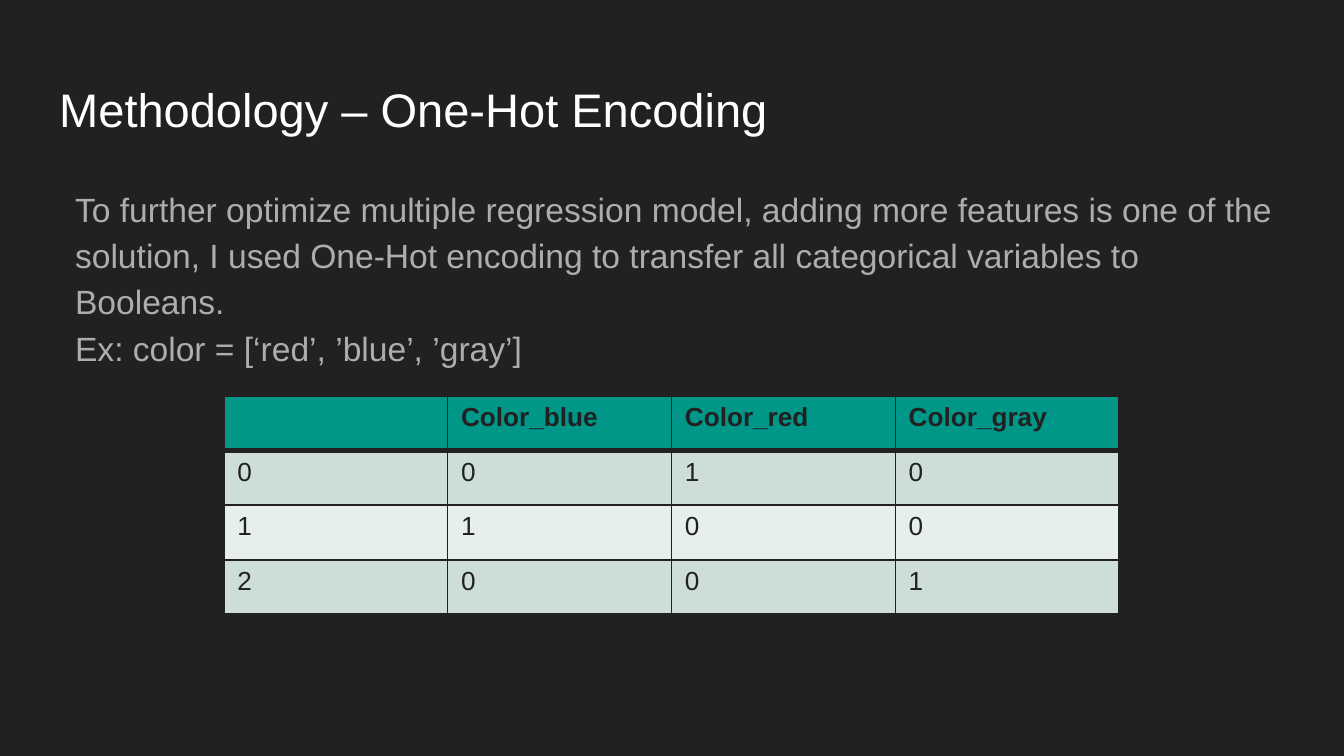
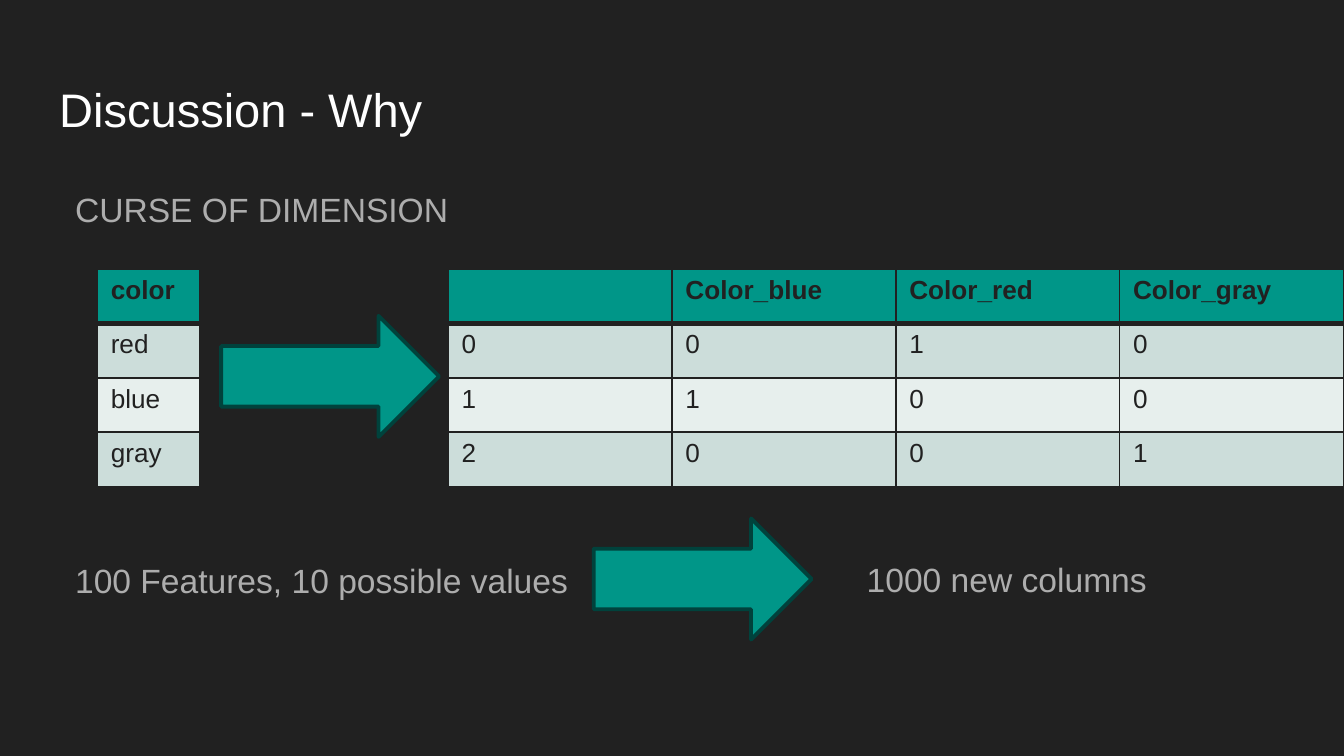
"""Builds two dark slides on one-hot encoding and the curse of dimension."""
from lxml import etree
from pptx import Presentation
from pptx import util as u
from pptx.dml.color import RGBColor
from pptx.enum import shapes, text
from pptx.oxml import ns

FONT = "Arial"
COLORS = {
    "background": "212121",
    "title": "FFFFFF",
    "body": "ADADAD",
    "accent": "009688",
    "outline": "00423C",
    "odd": "CCDDDA",
    "even": "E7EFED",
}
CATEGORIES = [["color"], ["red"], ["blue"], ["gray"]]
ENCODED = [
    ["", "Color_blue", "Color_red", "Color_gray"],
    ["0", "0", "1", "0"],
    ["1", "1", "0", "0"],
    ["2", "0", "0", "1"],
]
SLIDES = [
    {
        "title": "Methodology – One-Hot Encoding",
        "body": [
            "To further optimize multiple regression model, adding more features is one of the "
            "solution, I used One-Hot encoding to transfer all categorical variables to Booleans.",
            "Ex: color = [‘red’, ’blue’, ’gray’]",
        ],
        "tables": [(ENCODED, 4.23, 7.49, 4.23)],
    },
    {
        "title": "Discussion - Why",
        "body": ["CURSE OF DIMENSION", "100 Features, 10 possible values"],
        "gap": 174,
        "result": "1000 new columns",
        "tables": [(CATEGORIES, 1.84, 5.08, 1.94), (ENCODED, 8.47, 5.08, 4.23)],
        "arrows": [(4.18, 5.97), (11.22, 9.8)],
    },
]
TITLE_BOX = (0.87, 1.25, 23.67, 1.59)
BODY_BOX = (0.87, 3.2, 23.67, 9.5)
RESULT_BOX = (16.13, 10.21, 8, 1.4)
ARROW_SIZE = (4.12, 2.29)
ROW_HEIGHT = 1.03
INDENT = 0.3


def rgb(name):
    """Returns the named palette colour."""
    return RGBColor.from_string(COLORS[name])


def write(frame, paragraphs, size, color, bold=False, spacing=None, gap=0, indent=0):
    """Fills a text frame with evenly formatted paragraphs."""
    for number, words in enumerate(paragraphs):
        paragraph = frame.add_paragraph() if number else frame.paragraphs[0]
        paragraph.line_spacing = spacing
        paragraph.space_before = u.Pt(gap if number else 0)
        if indent:
            paragraph._p.get_or_add_pPr().set("marL", str(u.Cm(indent)))
        paragraph.font.size = u.Pt(size)
        run = paragraph.add_run()
        run.text = words
        run.font.name, run.font.size, run.font.bold = FONT, u.Pt(size), bold
        run.font.color.rgb = rgb(color)


def add_text(slide, box, paragraphs, anchor=text.MSO_ANCHOR.TOP, **style):
    """Adds a wrapping text box with equal insets."""
    frame = slide.shapes.add_textbox(*map(u.Cm, box)).text_frame
    frame.word_wrap = True
    frame.vertical_anchor = anchor
    frame.margin_left = frame.margin_right = u.Cm(0.25)
    frame.margin_top = frame.margin_bottom = u.Cm(0.25)
    write(frame, paragraphs, **style)


def set_borders(cell, **widths):
    """Draws the cell edges in the background colour."""
    properties = cell._tc.get_or_add_tcPr()
    for position, (edge, width) in enumerate(widths.items()):
        line = etree.Element(ns.qn(f"a:ln{edge}"), w=str(u.Pt(width)))
        fill = etree.SubElement(line, ns.qn("a:solidFill"))
        etree.SubElement(fill, ns.qn("a:srgbClr"), val=COLORS["background"])
        properties.insert(position, line)


def add_table(slide, rows, left, top, column_width):
    """Adds a banded table with a thick rule under its header."""
    size = (column_width * len(rows[0]), ROW_HEIGHT * len(rows))
    table = slide.shapes.add_table(
        len(rows), len(rows[0]), *map(u.Cm, (left, top, *size))).table
    for column in table.columns:
        column.width = u.Cm(column_width)
    for r, values in enumerate(rows):
        table.rows[r].height = u.Cm(ROW_HEIGHT)
        band = "accent" if r == 0 else "odd" if r % 2 else "even"
        for c, value in enumerate(values):
            cell = table.cell(r, c)
            cell.fill.solid()
            cell.fill.fore_color.rgb = rgb(band)
            set_borders(cell, L=1, R=1, T=3 if r == 1 else 1, B=3 if r == 0 else 1)
            if value:
                write(cell.text_frame, [value], size=14, color="background", bold=r == 0)


def add_arrow(slide, left, top):
    """Adds an outlined arrow pointing right."""
    arrow = slide.shapes.add_shape(
        shapes.MSO_SHAPE.RIGHT_ARROW, *map(u.Cm, (left, top, *ARROW_SIZE)))
    arrow.shadow.inherit = False
    arrow.fill.solid()
    arrow.fill.fore_color.rgb = rgb("accent")
    arrow.line.color.rgb = rgb("outline")
    arrow.line.width = u.Pt(2)


def add_slide(deck, content):
    """Adds one slide with its title, body, tables and arrows."""
    slide = deck.slides.add_slide(deck.slide_layouts[6])
    slide.background.fill.solid()
    slide.background.fill.fore_color.rgb = rgb("background")
    add_text(slide, TITLE_BOX, [content["title"]], anchor=text.MSO_ANCHOR.BOTTOM,
             size=25.2, color="title")
    body_style = {"size": 18, "color": "body", "spacing": 1.15}
    add_text(slide, BODY_BOX, content["body"], gap=content.get("gap", 0),
             indent=INDENT, **body_style)
    if "result" in content:
        add_text(slide, RESULT_BOX, [content["result"]], **body_style)
    for table in content["tables"]:
        add_table(slide, *table)
    for arrow in content.get("arrows", []):
        add_arrow(slide, *arrow)


def main():
    """Builds and saves the deck."""
    deck = Presentation()
    deck.slide_width, deck.slide_height = u.Cm(25.4), u.Cm(14.29)
    for content in SLIDES:
        add_slide(deck, content)
    deck.save("out.pptx")


if __name__ == "__main__":
    main()
